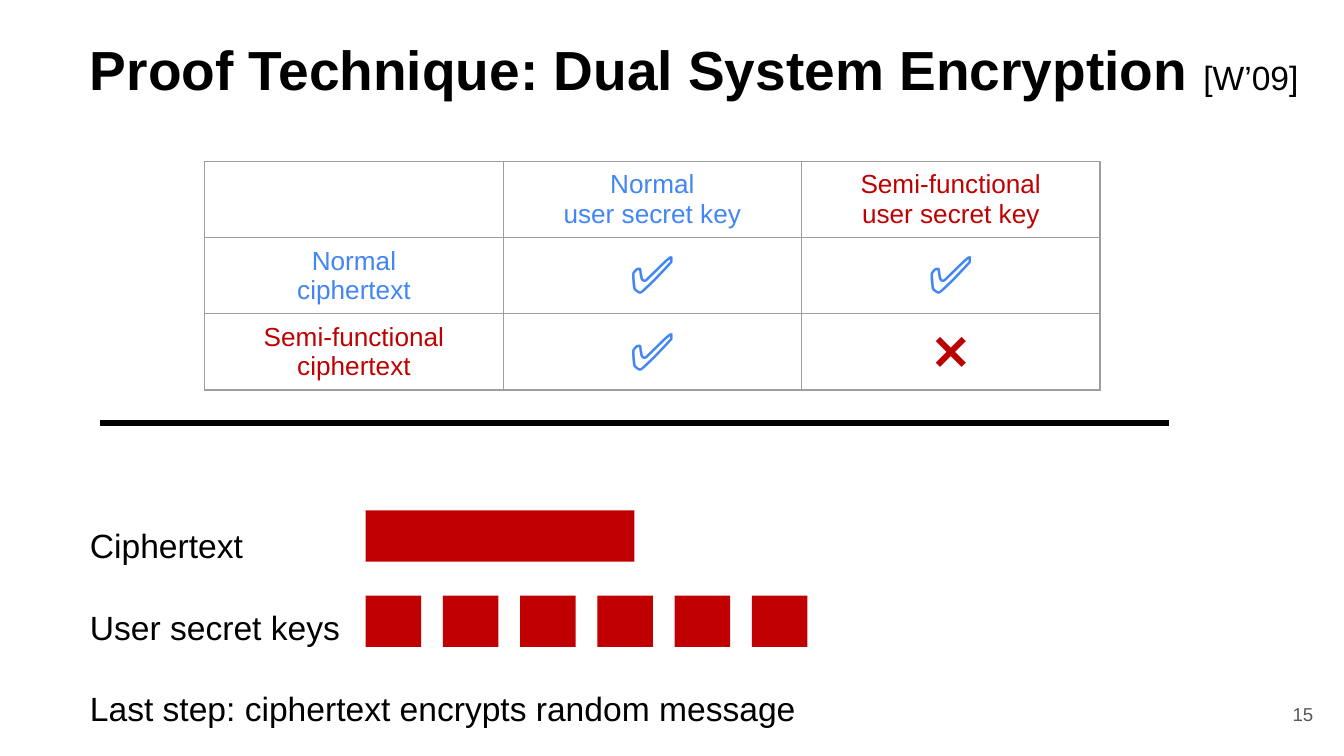
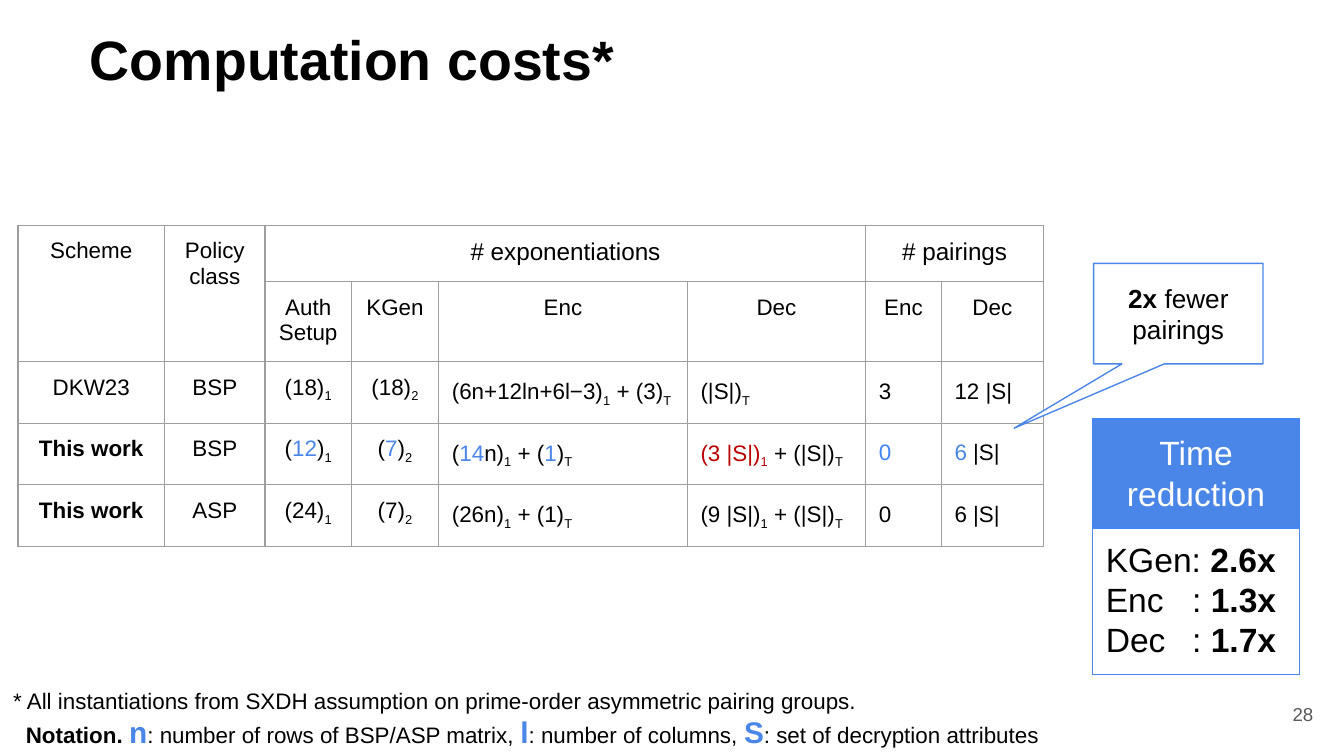
from dataclasses import dataclass

import pptx
import pptx.dml.color
import pptx.enum.shapes
import pptx.enum.text
import pptx.oxml.ns
import pptx.util
from lxml import etree
from pptx.util import Cm, Pt

FONT = "Arial"
BLACK, WHITE, GREY, RULE = "000000", "FFFFFF", "595959", "9E9E9E"
BLUE, SOFT_BLUE = "4285F4", "4A86E8"
RED, DARK_RED = "C00000", "BB0000"
INSET = Cm(0.25)

ALIGN = pptx.enum.text.PP_ALIGN
ANCHOR = pptx.enum.text.MSO_ANCHOR
SHAPE = pptx.enum.shapes.MSO_SHAPE


@dataclass
class Span:
    """A stretch of text; unset size and colour come from its text block."""
    text: str
    color: str = None
    bold: bool = False
    size: float = None
    subscript: bool = False


def bold(text):
    return Span(text, bold=True)


def blue(text):
    return Span(text, SOFT_BLUE)


def symbol(text):
    return Span(text, SOFT_BLUE, True, 16)


def in_group(group, *count, color=None):
    """A bracketed count followed by its group as a subscript."""
    spans = [part if isinstance(part, Span) else Span(part, color) for part in count]
    return [Span("(", color), *spans, Span(")", color),
            Span(group, color, subscript=True)]


def rgb(hex_color):
    return pptx.dml.color.RGBColor.from_string(hex_color)


def add_xml(parent, tag, **attributes):
    return etree.SubElement(parent, pptx.oxml.ns.qn(tag), attributes)


def write(frame, paragraphs, size, color=BLACK, align=ALIGN.LEFT, spacing=None):
    """Fill a text frame; a paragraph is a string, a Span or a list of these."""
    for index, content in enumerate(paragraphs):
        paragraph = frame.add_paragraph() if index else frame.paragraphs[0]
        paragraph.alignment = align
        if spacing:
            paragraph.line_spacing = spacing
        for part in content if isinstance(content, list) else [content]:
            span = part if isinstance(part, Span) else Span(part)
            for line_number, line in enumerate(span.text.split("\n")):
                if line_number:
                    paragraph.add_line_break()
                run = paragraph.add_run()
                run.text = line
                run.font.name = FONT
                run.font.size = Pt(span.size or size)
                run.font.bold = span.bold
                run.font.color.rgb = rgb(span.color or color)
                if span.subscript:
                    run.font._element.set("baseline", "-25000")


def set_frame(frame, anchor=ANCHOR.TOP):
    frame.word_wrap = True
    frame.vertical_anchor = anchor
    frame.margin_left = frame.margin_right = INSET
    frame.margin_top = frame.margin_bottom = INSET


def add_text(slide, box, paragraphs, size, anchor=ANCHOR.TOP, **style):
    frame = slide.shapes.add_textbox(*map(Cm, box)).text_frame
    set_frame(frame, anchor)
    write(frame, paragraphs, size, **style)
    return frame


def add_box(slide, box, fill=None, line=None, kind=SHAPE.RECTANGLE, anchor=ANCHOR.TOP):
    shape = slide.shapes.add_shape(kind, *map(Cm, box))
    shape.shadow.inherit = False
    if fill:
        shape.fill.solid()
        shape.fill.fore_color.rgb = rgb(fill)
    else:
        shape.fill.background()
    if line:
        shape.line.color.rgb = rgb(line)
        shape.line.width = Pt(0.75)
    else:
        shape.line.fill.background()
    set_frame(shape.text_frame, anchor)
    return shape


def add_divider(slide, left, right, top):
    divider = slide.shapes.add_connector(
        pptx.enum.shapes.MSO_CONNECTOR.STRAIGHT, Cm(left), Cm(top), Cm(right), Cm(top))
    divider.line.color.rgb = rgb(BLACK)
    divider.line.width = Pt(3)
    add_xml(divider._element.spPr, "a:effectLst")


def add_grid(slide, left, top, widths, heights):
    """An unfilled table with thin grey rules."""
    table = slide.shapes.add_table(
        len(heights), len(widths), Cm(left), Cm(top),
        Cm(sum(widths)), Cm(sum(heights))).table
    table.first_row = table.horz_banding = False
    for column, width in zip(table.columns, widths):
        column.width = Cm(width)
    for row, height in zip(table.rows, heights):
        row.height = Cm(height)
    for cell in table.iter_cells():
        properties = cell._tc.get_or_add_tcPr()
        for side in ("a:lnL", "a:lnR", "a:lnT", "a:lnB"):
            edge = add_xml(properties, side, w=str(Pt(0.75)))
            add_xml(add_xml(edge, "a:solidFill"), "a:srgbClr", val=RULE)
        cell.fill.background()
    return table


def add_slide(deck, title, number, title_size, **title_style):
    slide = deck.slides.add_slide(deck.slide_layouts[6])
    add_text(slide, (23.55, 12.95, 1.52, 1.09), [number], 10, ANCHOR.MIDDLE,
             color=GREY, align=ALIGN.RIGHT)
    frame = add_text(slide, (1.45, 0.23, 23.95, 1.52), [title], title_size, **title_style)
    return slide, frame


def build_proof_technique(deck):
    slide, title = add_slide(
        deck, [bold("Proof Technique: Dual System Encryption "), Span("[W’09]", size=18)],
        "15", 29.5, spacing=1.15)
    title.paragraphs[0].space_after = Pt(12)

    works, fails = Span("✅", BLUE, True, 28), Span("❌", DARK_RED, True, 28)
    outcomes = [
        [[], ["Normal", "user secret key"], ["Semi-functional", "user secret key"]],
        [["Normal", "ciphertext"], [works], [works]],
        [["Semi-functional ciphertext"], [works], [fails]],
    ]
    table = add_grid(slide, 3.87, 3.05, [5.64] * 3, [1.44] * 3)
    for row, contents in enumerate(outcomes):
        for column, paragraphs in enumerate(contents):
            cell = table.cell(row, column)
            cell.vertical_anchor = ANCHOR.MIDDLE
            write(cell.text_frame, paragraphs, 14,
                  RED if 2 in (row, column) else BLUE, ALIGN.CENTER)

    add_divider(slide, 1.89, 22.1, 8)

    labels = [("Ciphertext", 3.53), ("User secret keys", 5.84),
              ("Last step: ciphertext encrypts random message", 23.95)]
    for step, (label, width) in enumerate(labels):
        add_text(slide, (1.45, 9.3 + 1.54 * step, width, 1.68), [label], 18, spacing=1.5)

    add_box(slide, (6.91, 9.65, 5.08, 0.97), RED)
    for key in range(6):
        add_box(slide, (6.91 + 1.46 * key, 11.26, 1.05, 0.97), RED)


def fill_cost_table(slide):
    widths = [2.77, 1.9, 1.63, 1.65, 4.7, 3.37, 1.43, 1.93]
    table = add_grid(slide, 0.34, 4.26, widths, [1.06, 1.46, 1.13, 1.13, 1.13])
    for cell in table.iter_cells():
        cell.margin_left = cell.margin_right = INSET
        cell.margin_top = cell.margin_bottom = INSET

    # first row, first column, last row, last column, text, size
    headings = [(0, 0, 1, 0, "Scheme", 12), (0, 1, 1, 1, "Policy class", 12),
                (0, 2, 0, 5, "# exponentiations", 13), (0, 6, 0, 7, "# pairings", 13)]
    for top, left, bottom, right, heading, size in headings:
        table.cell(top, left).merge(table.cell(bottom, right))
        write(table.cell(top, left).text_frame, [heading], size, align=ALIGN.CENTER)
    operations = ["Auth\nSetup", "KGen", "Enc", "Dec", "Enc", "Dec"]
    for column, operation in enumerate(operations, 2):
        write(table.cell(1, column).text_frame, [operation], 12, align=ALIGN.CENTER)

    schemes = [
        ["DKW23", "BSP", in_group("1", "18"), in_group("2", "18"),
         in_group("1", "6n+12ln+6l−3") + [" + "] + in_group("T", "3"),
         in_group("T", "|S|"), "3", "12 |S|"],
        [bold("This work"), "BSP", in_group("1", blue("12")), in_group("2", blue("7")),
         in_group("1", blue("14"), "n") + [" + "] + in_group("T", blue("1")),
         in_group("1", "3 |S|", color=DARK_RED) + [" + "] + in_group("T", "|S|"),
         Span("0", BLUE), [blue("6"), " |S|"]],
        [bold("This work"), "ASP", in_group("1", "24"), in_group("2", "7"),
         in_group("1", "26n") + [" + "] + in_group("T", "1"),
         in_group("1", "9 |S|") + [" + "] + in_group("T", "|S|"), "0", "6 |S|"],
    ]
    for row, costs in enumerate(schemes, 2):
        for column, cost in enumerate(costs):
            centred = column < 4
            write(table.cell(row, column).text_frame, [cost], 12,
                  align=ALIGN.CENTER if centred else ALIGN.LEFT,
                  spacing=None if centred else 1.15)


def build_computation_costs(deck):
    slide, _ = add_slide(deck, bold("Computation costs*"), "28", 29.7)
    fill_cost_table(slide)

    reductions = add_box(slide, (20.65, 9.93, 3.91, 2.82), line=SOFT_BLUE).text_frame
    factors = {"KGen": "2.6x", "Enc": "1.3x", "Dec": "1.7x"}
    write(reductions, [[f"{operation}\t: ", bold(factor)] if operation != "KGen"
                       else ["KGen: ", bold(factor)]
                       for operation, factor in factors.items()], 18)
    for paragraph in reductions.paragraphs:
        stops = add_xml(paragraph._p.get_or_add_pPr(), "a:tabLst")
        add_xml(stops, "a:tab", pos=str(Cm(1.63)), algn="l")

    heading = add_box(slide, (20.65, 7.92, 3.91, 2.06), SOFT_BLUE, BLUE)
    write(heading.text_frame, ["Time reduction"], 18, WHITE, ALIGN.CENTER)

    callout = add_box(slide, (20.67, 4.98, 3.2, 1.9), WHITE, SOFT_BLUE,
                      SHAPE.RECTANGULAR_CALLOUT, ANCHOR.MIDDLE)
    callout.adjustments[0], callout.adjustments[1] = -0.97, 1.14
    write(callout.text_frame, [[bold("2x"), " fewer pairings"]], 14, align=ALIGN.CENTER)

    footnote = add_text(slide, (0, 12.73, 22.73, 1.7), [
        "* All instantiations from SXDH assumption on prime-order asymmetric pairing groups.",
        [bold("Notation. "), symbol("n"), ": number of rows of BSP/ASP matrix, ",
         symbol("l"), ": number of columns, ", symbol("S"),
         ": set of decryption attributes"]], 12)
    footnote.paragraphs[1]._p.get_or_add_pPr().set("marL", str(Cm(0.24)))


def main():
    deck = pptx.Presentation()
    deck.slide_width, deck.slide_height = Cm(25.4), Cm(14.29)
    build_proof_technique(deck)
    build_computation_costs(deck)
    deck.save("out.pptx")


if __name__ == "__main__":
    main()
